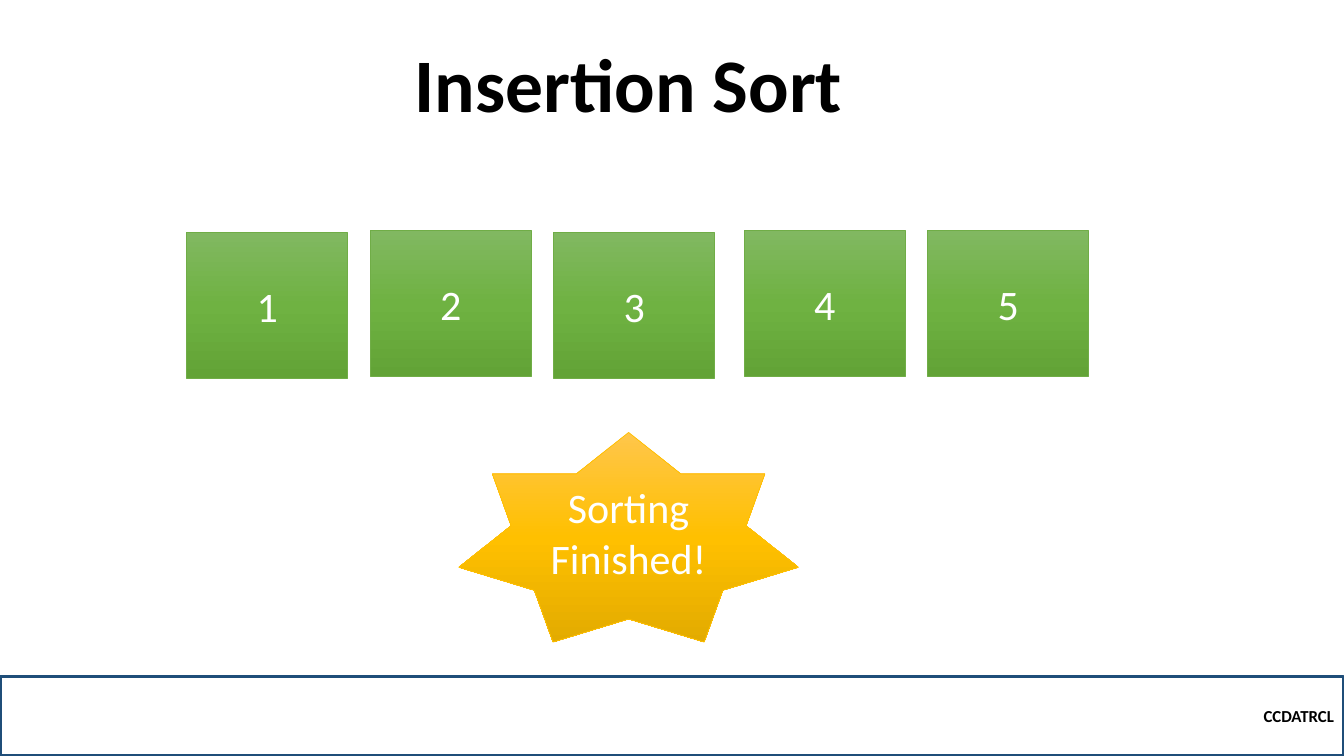
import copy

import pptx
import pptx.dml.color
import pptx.enum.shapes
import pptx.enum.text
import pptx.oxml.ns
import pptx.util

Inches = pptx.util.Inches
Pt = pptx.util.Pt
SHAPE = pptx.enum.shapes.MSO_SHAPE
ALIGN = pptx.enum.text.PP_ALIGN
ANCHOR = pptx.enum.text.MSO_ANCHOR

GREENS = ("81B861", "6FB242", "62A336")
GOLDS = ("FFC64B", "FFC000", "E3AB00")


def paint(target, hex_code):
    target.rgb = pptx.dml.color.RGBColor.from_string(hex_code)


def write(shape, text, size, color, align, anchor, bold=False):
    frame = shape.text_frame
    frame.text = text
    frame.word_wrap = True
    frame.vertical_anchor = anchor
    para = frame.paragraphs[0]
    para.alignment = align
    para.font.name = "Calibri"
    para.font.size = Pt(size)
    para.font.bold = bold
    paint(para.font.color, color)
    return para


def shade(shape, colors):
    """Fill from top to bottom with three evenly spaced colours."""
    shape.fill.gradient()
    shape.fill.gradient_angle = 270
    stops = shape._element.spPr.find(".//" + pptx.oxml.ns.qn("a:gsLst"))
    stops.insert(1, copy.deepcopy(stops[0]))
    for i, (stop, color) in enumerate(zip(shape.fill.gradient_stops, colors)):
        stop.position = i / 2
        paint(stop.color, color)


def add_shape(slide, kind, box, line, width):
    shape = slide.shapes.add_shape(kind, *map(Inches, box))
    shape.shadow.inherit = False
    paint(shape.line.color, line)
    shape.line.width = Pt(width)
    return shape


def add_badge(slide, kind, box, text, colors, line):
    shape = add_shape(slide, kind, box, line, 0.5)
    shade(shape, colors)
    write(shape, text, 30, "FFFFFF", ALIGN.CENTER, ANCHOR.MIDDLE)


def add_title(slide, text):
    title = slide.shapes.title
    title.left, title.top = Inches(0.8), Inches(0.54)
    title.width, title.height = Inches(10.87), Inches(0.79)
    para = write(title, text, 54, "000000", ALIGN.CENTER, ANCHOR.BOTTOM, True)
    para.line_spacing = 0.9


def add_footer(slide, text):
    bar = add_shape(slide, SHAPE.RECTANGLE, (0, 6.71, 13.33, 0.79),
                    "1F4E79", 2.25)
    bar.fill.background()
    write(bar, text, 12, "000000", ALIGN.RIGHT, ANCHOR.MIDDLE, True)


def main():
    deck = pptx.Presentation()
    deck.slide_width, deck.slide_height = Inches(13.33), Inches(7.5)
    slide = deck.slides.add_slide(deck.slide_layouts[5])
    add_title(slide, "Insertion Sort")
    add_footer(slide, "CCDATRCL")
    spots = ((1.85, 2.31), (3.67, 2.29), (5.49, 2.31), (7.38, 2.29),
             (9.2, 2.29))
    for number, (left, top) in enumerate(spots, 1):
        add_badge(slide, SHAPE.RECTANGLE, (left, top, 1.6, 1.44),
                  str(number), GREENS, "70AD47")
    add_badge(slide, SHAPE.STAR_7_POINT, (4.55, 4.29, 3.37, 2.08),
              "Sorting Finished!", GOLDS, "FFC000")
    deck.save("out.pptx")


if __name__ == "__main__":
    main()
